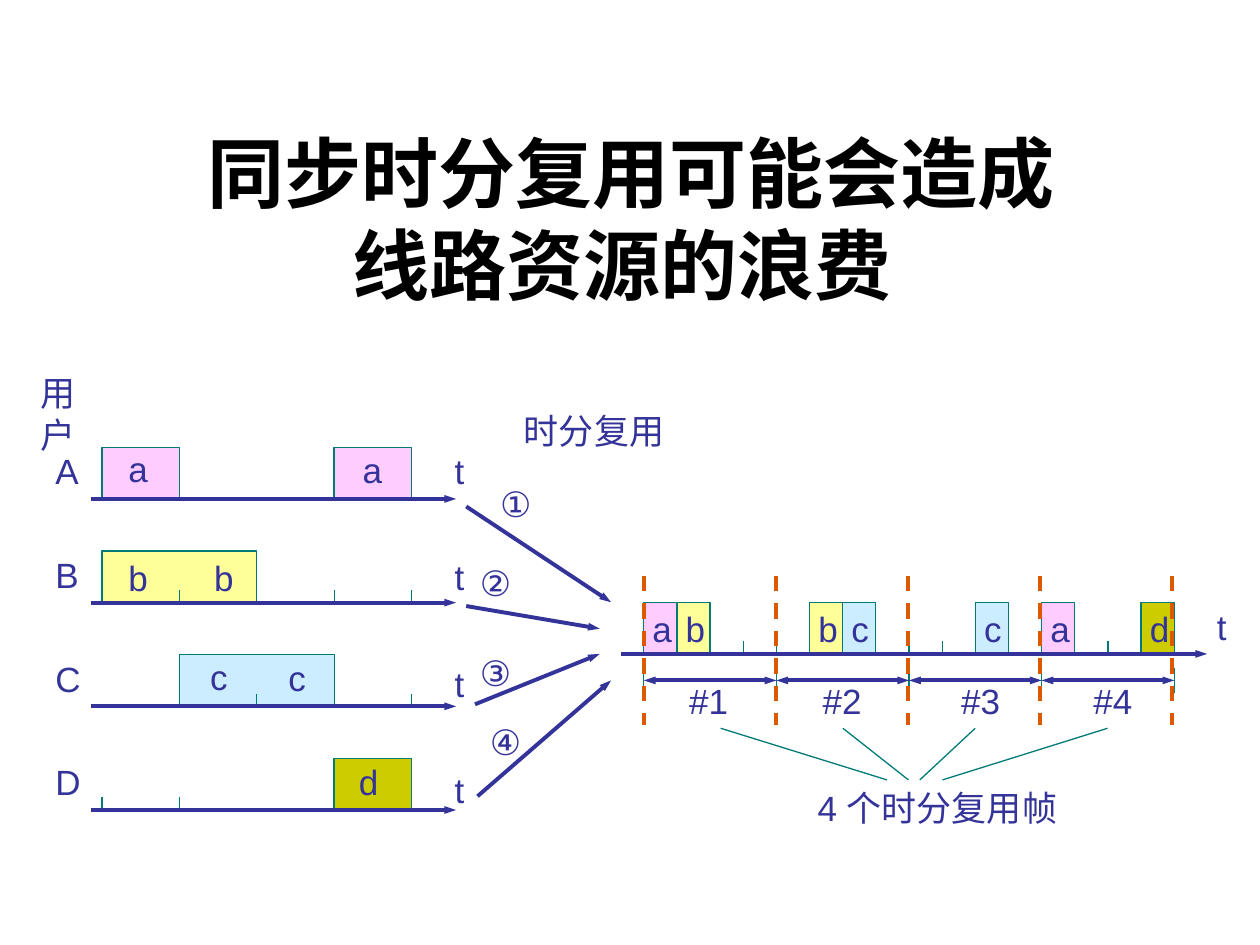
"""Build a slide on wasted slots in synchronous time-division multiplexing."""
from dataclasses import dataclass

from lxml import etree
from pptx import Presentation
from pptx.dml.color import RGBColor
from pptx.enum.dml import MSO_LINE
from pptx.enum.shapes import MSO_CONNECTOR
from pptx.enum.text import MSO_ANCHOR, MSO_AUTO_SIZE, PP_ALIGN
from pptx.oxml.ns import qn
from pptx.util import Inches, Pt


@dataclass(frozen=True)
class Theme:
    font: str = "Arial"
    title_size: float = 44
    label_size: float = 20
    thin: float = 0.74
    thick: float = 2.24
    title: str = "000000"
    ink: str = "333399"
    teal: str = "007A77"
    orange: str = "DC5900"


theme = Theme()
user_colors = {"a": "FFCCFF", "b": "FFFF99", "c": "CCECFF", "d": "CCCC00"}

presentation = Presentation()
presentation.slide_width, presentation.slide_height = Inches(10), Inches(7.5)
slide = presentation.slides.add_slide(presentation.slide_layouts[5])


def add_label(text, left, top, width):
    box = slide.shapes.add_textbox(Inches(left), Inches(top), Inches(width), Inches(0.44))
    frame = box.text_frame
    frame.word_wrap = False
    frame.auto_size = MSO_AUTO_SIZE.SHAPE_TO_FIT_TEXT
    frame.text = text
    font = frame.paragraphs[0].runs[0].font
    font.name, font.size = theme.font, Pt(theme.label_size)
    font.color.rgb = RGBColor.from_string(theme.ink)


def add_line(start, end, color=theme.teal, width=theme.thin, arrows=(), shapes=slide.shapes):
    points = [Inches(value) for value in (*start, *end)]
    line = shapes.add_connector(MSO_CONNECTOR.STRAIGHT, *points)
    line.line.color.rgb = RGBColor.from_string(color)
    line.line.width = Pt(width)
    outline = line.line._get_or_add_ln()
    for arrow in arrows:
        etree.SubElement(outline, qn(f"a:{arrow}"), type="triangle", w="sm", len="med")
    etree.SubElement(line._element.spPr, qn("a:effectLst"))
    return line


title = slide.shapes.title
title.left, title.top, title.width, title.height = [Inches(v) for v in (0.75, 0.91, 8.52, 1.6)]
title.text_frame.text = "同步时分复用可能会造成\v线路资源的浪费 "
title.text_frame.vertical_anchor = MSO_ANCHOR.BOTTOM
title.text_frame.auto_size = MSO_AUTO_SIZE.NONE
title_paragraph = title.text_frame.paragraphs[0]
title_paragraph.alignment = PP_ALIGN.CENTER
for run in title_paragraph.runs:
    run.font.name, run.font.size, run.font.bold = theme.font, Pt(theme.title_size), True
    run.font.color.rgb = RGBColor.from_string(theme.title)

user_axes = [3.96 + 0.823 * row for row in range(4)]
user_slots = [0.81 + 0.614 * slot for slot in range(5)]
frame_axis, frame_step = 5.19, 1.0525
frame_edges = [5.11 + frame_step * edge for edge in range(5)]
frame_slots = [5.11 + frame_step / 4 * slot for slot in range(17)]

user_blocks = [(0, "a", 0, 1), (0, "a", 3, 4), (1, "b", 0, 2), (2, "c", 1, 3), (3, "d", 3, 4)]
frame_blocks = [("a", 0), ("b", 1), ("b", 5), ("c", 6), ("c", 10), ("a", 12), ("d", 15)]
blocks = [(user, user_slots[first], user_slots[last], user_axes[row])
          for row, user, first, last in user_blocks]
blocks += [(user, frame_slots[slot], frame_slots[slot + 1], frame_axis)
           for user, slot in frame_blocks]
for user, left, right, bottom in blocks:
    top = bottom - 0.41
    start, *others = [(Inches(x), Inches(y)) for x, y in
                      ((left, bottom), (left, top), (right, top), (right, bottom))]
    builder = slide.shapes.build_freeform(*start, scale=1.0)
    builder.add_line_segments(others, close=False)
    block = builder.convert_to_shape()
    block.shadow.inherit = False
    block.fill.solid()
    block.fill.fore_color.rgb = RGBColor.from_string(user_colors[user])
    block.line.color.rgb = RGBColor.from_string(theme.teal)
    block.line.width = Pt(theme.thin)

ticks = [(user_slots[slot], user_axes[row]) for row, slot in
         ((1, 1), (1, 3), (1, 4), (2, 2), (2, 4), (3, 0), (3, 1), (3, 3))]
ticks += [(frame_slots[slot], frame_axis) for slot in (2, 3, 4, 8, 9, 14)]
for x, axis in ticks:
    add_line((x, axis - 0.1), (x, axis))

for user, left, top in (("a", 0.92, 3.5), ("a", 2.78, 3.51), ("b", 0.92, 4.37), ("b", 1.6, 4.37),
                        ("c", 1.57, 5.15), ("c", 2.19, 5.16), ("d", 2.75, 5.99)):
    add_label(user, left, top, 0.35)
for user, slot in frame_blocks:
    add_label(user, frame_slots[slot] - 0.03, 4.77, 0.35)

for row, (name, axis) in enumerate(zip("ABCD", user_axes)):
    add_label(name, 0.34, axis - 0.44, 0.39)
    add_label("t", 3.51, 3.52 + 0.843 * row, 0.27)
    add_line((0.72, axis), (3.62, axis), theme.ink, theme.thick, ["tailEnd"])
add_line((4.93, frame_axis), (9.58, frame_axis), theme.ink, theme.thick, ["tailEnd"])
add_label("t", 9.56, 4.76, 0.27)

for edge in frame_edges:
    add_line((edge, 5.3), (edge, 5.5))
for left, right in zip(frame_edges, frame_edges[1:]):
    add_line((left, 5.4), (right, 5.4), theme.ink, theme.thick, ["headEnd", "tailEnd"])

for number, left, start_x, end_x in ((1, 5.37, 5.72, 7.04), (2, 6.43, 6.69, 7.21),
                                     (3, 7.53, 7.74, 7.3), (4, 8.58, 8.79, 7.48)):
    add_label(f"#{number}", left, 5.34, 0.51)
    add_line((start_x, 5.78), (end_x, 6.19))

for number, left, top, start, end in (("①", 3.87, 3.78, (3.7, 4.02), (4.85, 4.78)),
                                      ("②", 3.71, 4.41, (3.7, 4.81), (4.76, 4.99)),
                                      ("③", 3.71, 5.12, (3.77, 5.59), (4.76, 5.19)),
                                      ("④", 3.79, 5.67, (3.79, 6.32), (4.85, 5.4))):
    add_line(start, end, theme.ink, theme.thick, ["tailEnd"])
    add_label(number, left, top, 0.45)

add_label("用户", 0.22, 2.9, 0.75)
add_label("时分复用", 4.06, 3.2, 1.31)
add_label("4 个时分复用帧", 6.39, 6.19, 2.17)

boundaries = slide.shapes.add_group_shape()
for edge in range(5):
    x = 5.11 + 1.0475 * edge
    boundary = add_line((x, 4.57), (x, 5.75), theme.orange, theme.thick, shapes=boundaries.shapes)
    boundary.line.dash_style = MSO_LINE.DASH

presentation.save("out.pptx")
